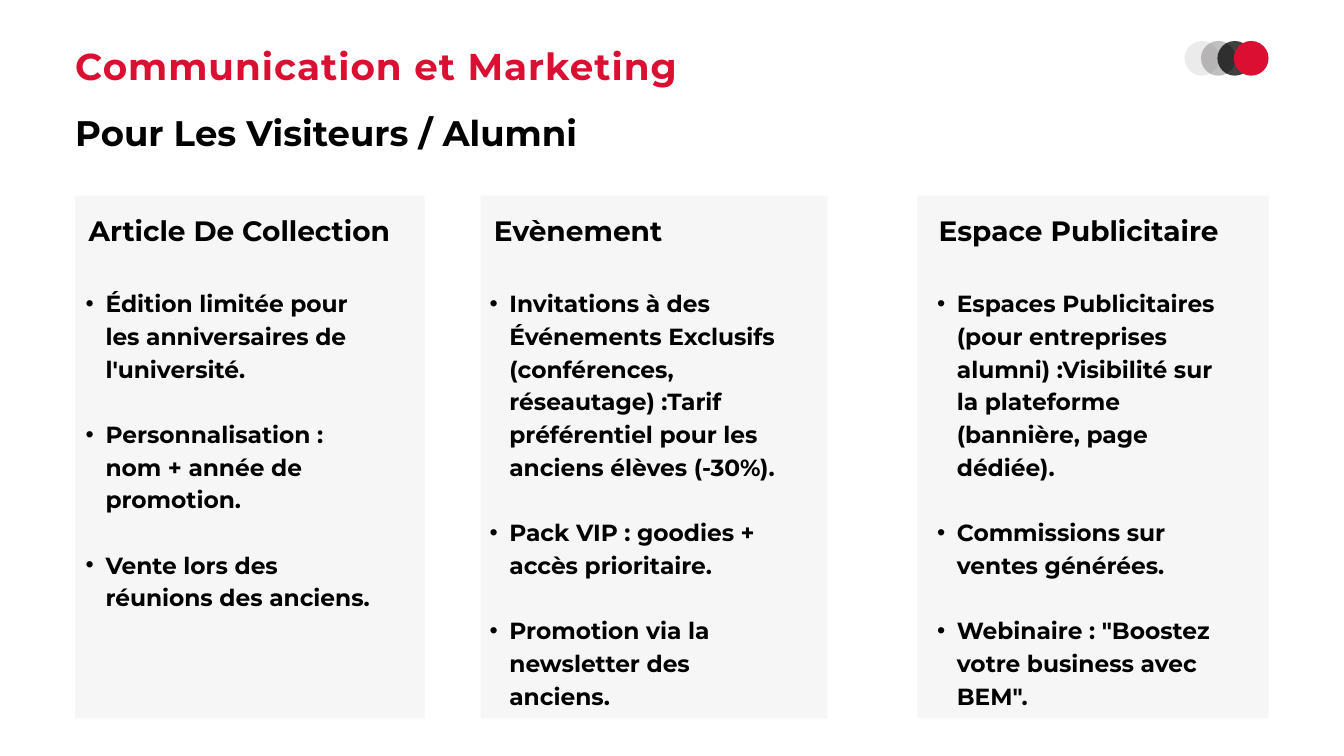
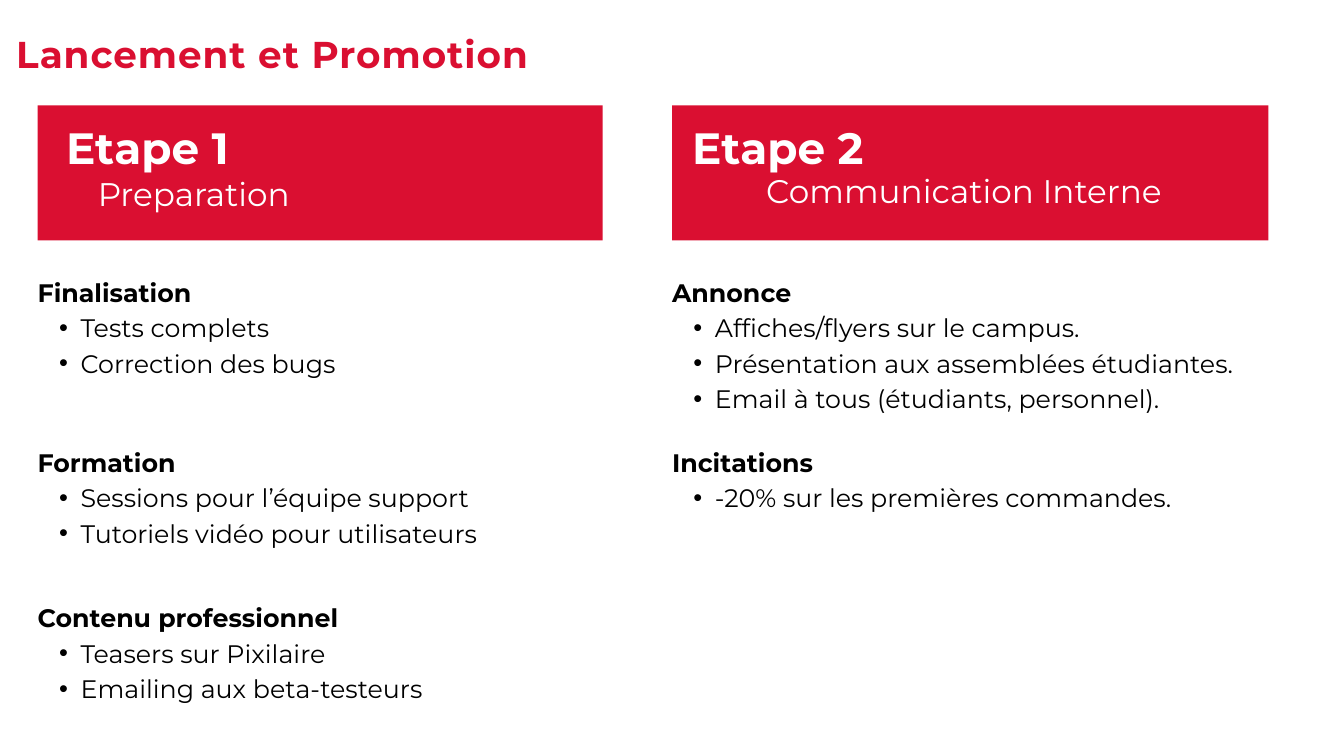
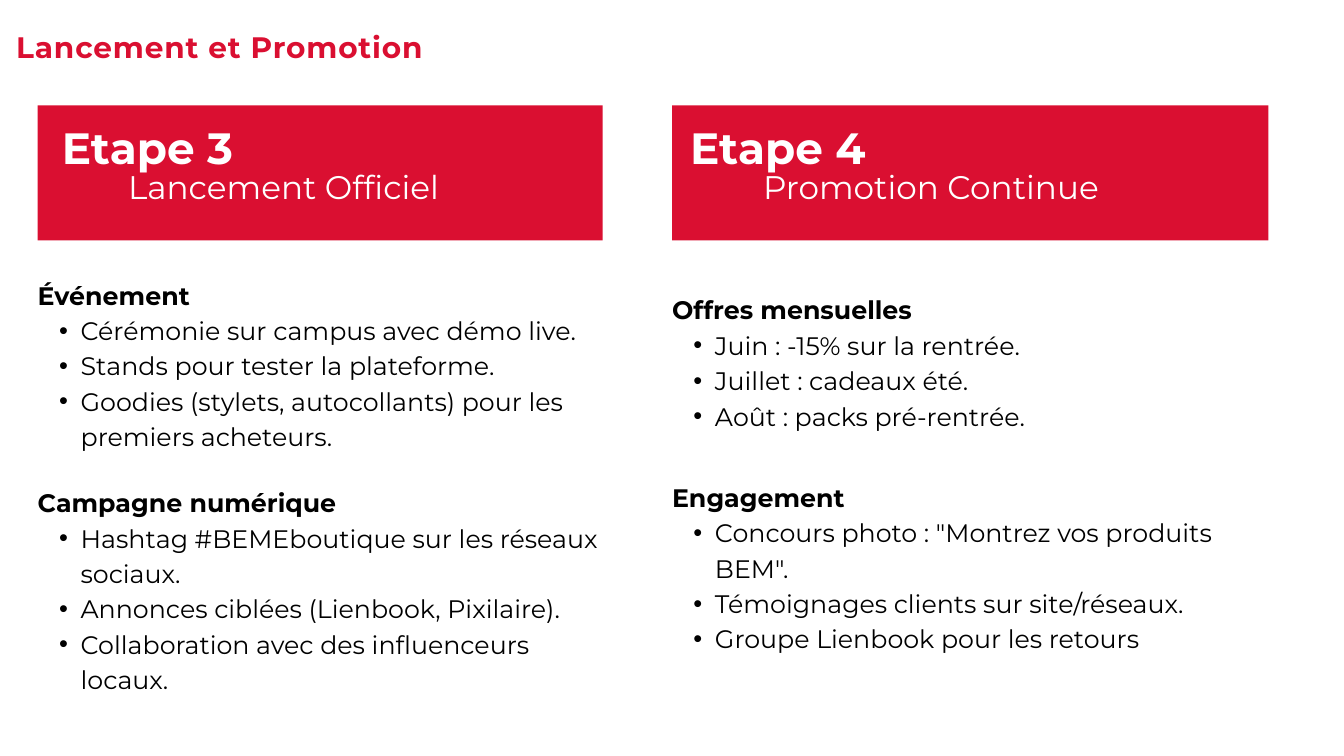
from lxml import etree
from pptx import Presentation
from pptx.dml.color import RGBColor
from pptx.enum.shapes import MSO_SHAPE
from pptx.enum.text import MSO_AUTO_SIZE, PP_ALIGN
from pptx.oxml.ns import qn
from pptx.util import Pt

RED = RGBColor(0xDA, 0x0F, 0x31)
BLACK = RGBColor(0x00, 0x00, 0x00)
WHITE = RGBColor(0xFF, 0xFF, 0xFF)
GREY = RGBColor(0x82, 0x7F, 0x7F)
PANEL = RGBColor(0xF6, 0xF6, 0xF6)
FONT = "Montserrat"


def add_shape(slide, kind, left, top, width, height, color, opacity=100):
    shape = slide.shapes.add_shape(kind, Pt(left), Pt(top), Pt(width), Pt(height))
    shape.shadow.inherit = False
    shape.fill.solid()
    shape.fill.fore_color.rgb = color
    shape.line.fill.background()
    if opacity < 100:
        color_element = shape.fill._xPr.find(qn("a:solidFill"))[0]
        etree.SubElement(color_element, qn("a:alpha")).set("val", str(opacity * 1000))


def add_text(slide, box, size, spacing, heading=None, bullets=(), color=BLACK, bold=True,
             bold_bullets=False, gap=0, align=PP_ALIGN.LEFT, tracking=0):
    text_box = slide.shapes.add_textbox(*[Pt(length) for length in box])
    frame = text_box.text_frame
    frame.margin_left = frame.margin_top = frame.margin_right = frame.margin_bottom = 0
    lines = ([heading] if heading else []) + list(bullets)
    frame.text = "\n".join(lines)
    frame.word_wrap = True
    frame.auto_size = MSO_AUTO_SIZE.SHAPE_TO_FIT_TEXT
    for index, paragraph in enumerate(frame.paragraphs):
        bulleted = index > 0 or not heading
        if bulleted:
            properties = paragraph._p.get_or_add_pPr()
            properties.set("marL", str(Pt(1.7 * size)))
            properties.set("indent", str(-Pt(0.85 * size)))
            etree.SubElement(properties, qn("a:buFont")).set("typeface", "Arial")
            etree.SubElement(properties, qn("a:buChar")).set("char", "•")
            paragraph.level = 1
        paragraph.alignment = align
        paragraph.line_spacing = Pt(spacing)
        if index and gap:
            paragraph.space_before = Pt(gap)
        for run in paragraph.runs:
            run.font.name = FONT
            run.font.size = Pt(size)
            run.font.bold = bold_bullets if bulleted else bold
            run.font.color.rgb = color
            if tracking:
                run.font._element.set("spc", str(int(tracking * 100)))


presentation = Presentation()
presentation.slide_width = Pt(1440)
presentation.slide_height = Pt(810)
blank = presentation.slide_layouts[6]

# Slide 1: offers for visitors and alumni
slide = presentation.slides.add_slide(blank)
add_text(slide, (80.6, 38.2, 720, 108), 40, 56, "Communication et Marketing",
         color=RED, tracking=1.1)
add_text(slide, (80.6, 123.8, 560, 41.8), 38, 41, "Pour Les Visiteurs / Alumni")

# Panel left and width, heading left, list left and height, heading, bullets
offers = [
    (80.6, 374.4, 95, 70.6, 342.7, "Article De Collection", [
        "Édition limitée pour les anniversaires de l'université.",
        "Personnalisation : nom + année de promotion.",
        "Vente lors des réunions des anciens."]),
    (515, 371.8, 529.2, 503.3, 446.4, "Evènement", [
        "Invitations à des Événements Exclusifs (conférences, réseautage) :"
        "Tarif préférentiel pour les anciens élèves (-30%).",
        "Pack VIP : goodies + accès prioritaire.",
        "Promotion via la newsletter des anciens."]),
    (982.8, 376.6, 1005.8, 982.8, 411.8, "Espace Publicitaire", [
        "Espaces Publicitaires (pour entreprises alumni) :"
        "Visibilité sur la plateforme (bannière, page dédiée).",
        "Commissions sur ventes générées.",
        "Webinaire : \"Boostez votre business avec BEM\"."]),
]
for panel_left, panel_width, heading_left, list_left, list_height, heading, bullets in offers:
    add_shape(slide, MSO_SHAPE.RECTANGLE, panel_left, 209.5, panel_width, 560.2, PANEL)
    add_text(slide, (heading_left, 232.6, 434.2, 33.1), 30, 32.4, heading)
    add_text(slide, (list_left, 305.3, 336.2, list_height), 25, 35, bullets=bullets,
             bold_bullets=True, gap=35)

# Overlapping dots
for index, (color, opacity) in enumerate([(GREY, 15), (GREY, 50), (BLACK, 75), (RED, 100)]):
    add_shape(slide, MSO_SHAPE.OVAL, 1269.2 + 17.6 * index, 43.9, 37.2, 37.2, color, opacity)

# Slides 2 and 3: launch steps
# Step: number, subtitle, subtitle box, sections (top, height, heading, bullets)
launch_slides = [
    (40, 56, 1.1, [
        ("Etape 1", "Preparation", (0, 179.3, 415.4, 47.5), [
            (291.6, 110.9, "Finalisation", ["Tests complets", "Correction des bugs"]),
            (473.8, 110.9, "Formation", [
                "Sessions pour l’équipe support", "Tutoriels vidéo pour utilisateurs"]),
            (640.1, 110.9, "Contenu professionnel", [
                "Teasers sur Pixilaire", "Emailing aux beta-testeurs"])]),
        ("Etape 2", "Communication Interne", (625.7, 176.4, 814.3, 47.5), [
            (291.6, 148.3, "Annonce", [
                "Affiches/flyers sur le campus.",
                "Présentation aux assemblées étudiantes.",
                "Email à tous (étudiants, personnel)."]),
            (473.8, 73.4, "Incitations", ["-20% sur les premières commandes."])]),
    ]),
    (31.7, 44.3, 0.9, [
        ("Etape 3", "Lancement Officiel", (-28.1, 171.4, 663.8, 47.5), [
            (294.5, 185.8, "Événement", [
                "Cérémonie sur campus avec démo live.",
                "Stands pour tester la plateforme.",
                "Goodies (stylets, autocollants) pour les premiers acheteurs."]),
            (517, 223.2, "Campagne numérique", [
                "Hashtag #BEMEboutique sur les réseaux sociaux.",
                "Annonces ciblées (Lienbook, Pixilaire).",
                "Collaboration avec des influenceurs locaux."])]),
        ("Etape 4", "Promotion Continue", (590.4, 171.4, 814.3, 47.5), [
            (310.3, 148.3, "Offres mensuelles", [
                "Juin : -15% sur la rentrée.",
                "Juillet : cadeaux été.",
                "Août : packs pré-rentrée."]),
            (511.2, 185.8, "Engagement", [
                "Concours photo : \"Montrez vos produits BEM\".",
                "Témoignages clients sur site/réseaux.",
                "Groupe Lienbook pour les retours"])]),
    ]),
]
# Band left and width, step number left
columns = [(40.3, 605.5, -49.7), (720, 639, 625.7)]

for title_size, title_spacing, tracking, steps in launch_slides:
    slide = presentation.slides.add_slide(blank)
    add_text(slide, (17.3, 25.2, 573.1, 2 * title_spacing), title_size, title_spacing,
             "Lancement et Promotion", color=RED, tracking=tracking)
    for (left, band_width, number_left), step in zip(columns, steps):
        number, subtitle, subtitle_box, sections = step
        add_shape(slide, MSO_SHAPE.RECTANGLE, left, 113, band_width, 144.7, RED)
        add_text(slide, (number_left, 120.2, 415.4, 62.6), 46.9, 65.7, number,
                 color=WHITE, align=PP_ALIGN.CENTER)
        add_text(slide, subtitle_box, 35, 49, subtitle, color=WHITE, bold=False,
                 align=PP_ALIGN.CENTER)
        for top, height, heading, bullets in sections:
            add_text(slide, (left, top, 605.5, height), 27.1, 37.9, heading, bullets)

presentation.save("out.pptx")
